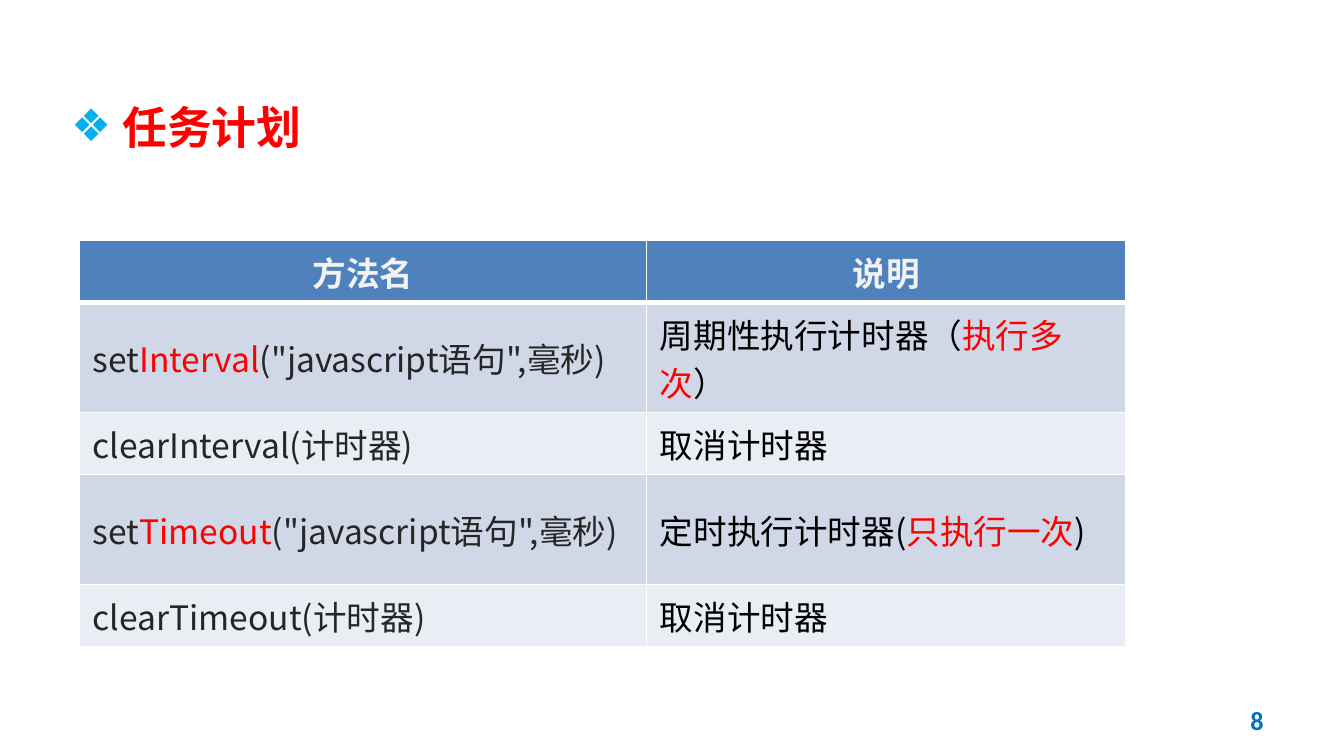
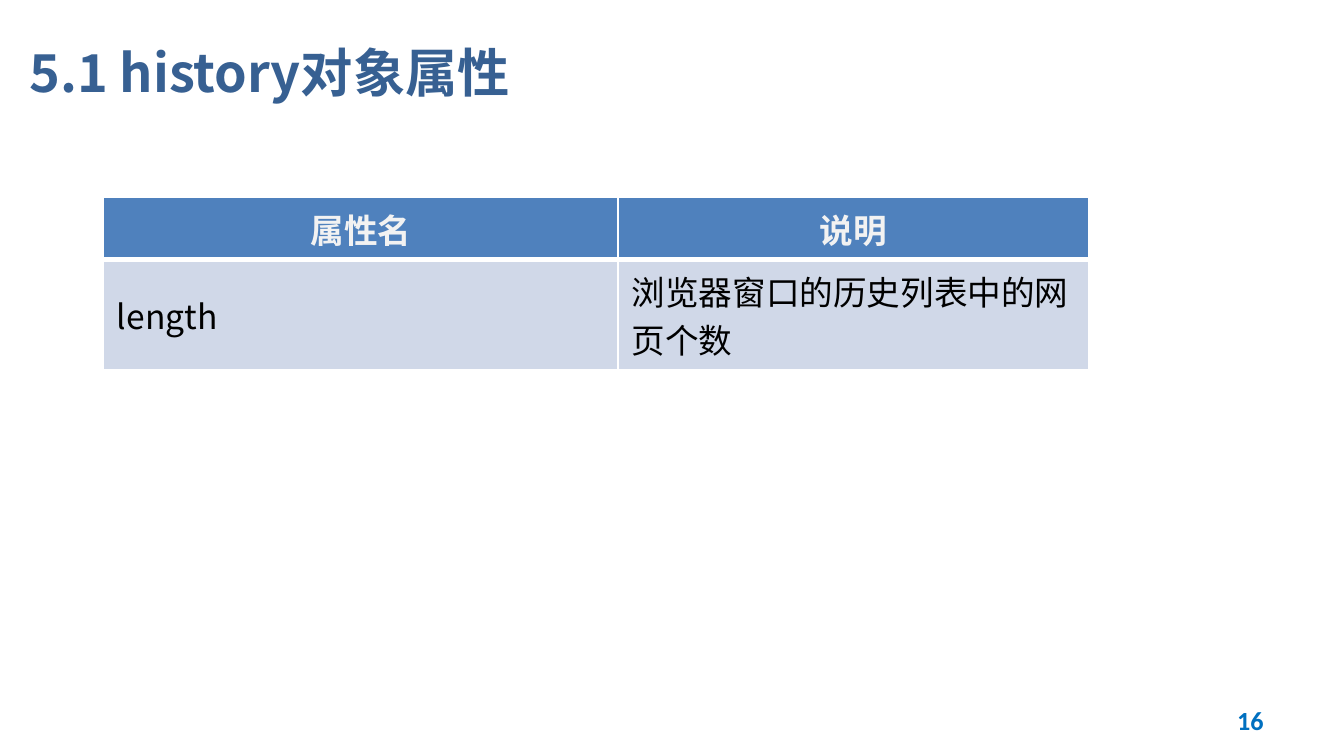
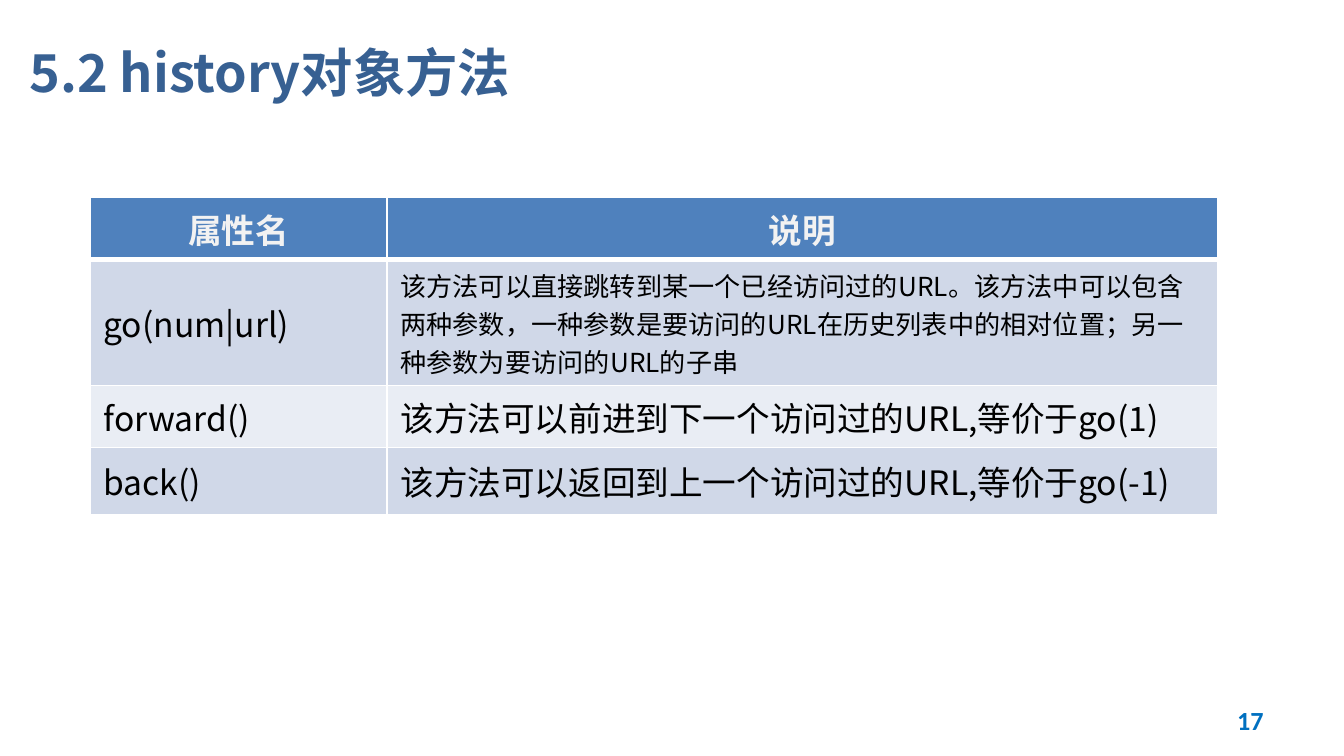
from pptx import Presentation
from pptx.dml.color import RGBColor
from pptx.enum.text import MSO_ANCHOR, MSO_AUTO_SIZE, PP_ALIGN
from pptx.oxml import parse_xml
from pptx.oxml.ns import nsdecls
from pptx.util import Inches, Pt

# Shared style: a 16:9 slide on a grid that is 100 columns wide
UNIT = Inches(0.1)
SANS, NUM = "Noto Sans CJK SC", "Calibri"
RED, GRAY, BLACK, WHITE = "FF0000", "262626", "000000", "FFFFFF"
NAVY, BLUE, SKY, PALE = "376092", "0070C0", "00B0F0", "F2F2F2"
HEAD, BANDS = "4F81BD", ("D0D8E8", "E9EDF4")
ONE, TWO, THREE = 4.6, 8.2, 9.4  # row heights by lines of text


def add_run(para, text, tint, size, bold=False, face=SANS):
    run = para.add_run()
    run.text = text
    font = run.font
    font.size, font.bold = Pt(size), bold
    font.color.rgb = RGBColor.from_string(tint)
    font.name = face
    run._r.get_or_add_rPr().append(
        parse_xml(f'<a:ea {nsdecls("a")} typeface="{face}"/>'))


def place(shape, left, top, width, height):
    shape.left, shape.top = int(left * UNIT), int(top * UNIT)
    shape.width, shape.height = int(width * UNIT), int(height * UNIT)


# Content: each cell is a list of (text, colour, size) runs
timers = [
    [[("set", GRAY, 18), ("Interval", RED, 18),
      ('("javascript语句",毫秒)', GRAY, 18)],
     [("周期性执行计时器（", BLACK, 18), ("执行多次", RED, 18), ("）", BLACK, 18)]],
    [[("clearInterval(计时器)", GRAY, 18)], [("取消计时器", BLACK, 18)]],
    [[("set", GRAY, 18), ("Timeout", RED, 18),
      ('("javascript语句",毫秒)', GRAY, 18)],
     [("定时执行计时器(", BLACK, 18), ("只执行一次", RED, 18), (")", BLACK, 18)]],
    [[("clearTimeout(计时器)", GRAY, 18)], [("取消计时器", BLACK, 18)]],
]
props = [
    [[("length", BLACK, 18)], [("浏览器窗口的历史列表中的网页个数", BLACK, 18)]],
]
calls = [
    [[("go(num|url)", BLACK, 18)],
     [("该方法可以直接跳转到某一个已经访问过的URL。该方法中可以包含两种参数，"
       "一种参数是要访问的URL在历史列表中的相对位置；"
       "另一种参数为要访问的URL的子串", BLACK, 14)]],
    [[("forward()", BLACK, 18)],
     [("该方法可以前进到下一个访问过的URL,等价于go(1)", BLACK, 18)]],
    [[("back()", BLACK, 18)],
     [("该方法可以返回到上一个访问过的URL,等价于go(-1)", BLACK, 18)]],
]

# Page number, title, table corner, column widths, row heights, heads, rows
pages = [
    ("8", None, (5.9, 17.9), (42.2, 35.7), (ONE, TWO, ONE, TWO, ONE),
     ("方法名", "说明"), timers),
    ("16", "5.1 history对象属性", (7.7, 14.7), (38.3, 35), (ONE, TWO),
     ("属性名", "说明"), props),
    ("17", "5.2 history对象方法", (6.7, 14.7), (22.1, 61.8),
     (ONE, THREE, ONE, 5), ("属性名", "说明"), calls),
]

deck = Presentation()
deck.slide_width = 100 * UNIT
deck.slide_height = deck.slide_width * 9 // 16

for number, title, corner, widths, heights, heads, rows in pages:
    slide = deck.slides.add_slide(deck.slide_layouts[5 if title else 1])

    # Title, or a bulleted topic where there is none
    if title:
        box = slide.shapes.title
        place(box, 1.2, 0.6, 90, 9.4)
        para = box.text_frame.paragraphs[0]
        add_run(para, title, NAVY, 28, True)
        box.text_frame.vertical_anchor = MSO_ANCHOR.MIDDLE
    else:
        empty = slide.shapes.title._element
        empty.getparent().remove(empty)
        box = slide.placeholders[1]
        place(box, 4.3, 6.9, 74.8, 7.9)
        para = box.text_frame.paragraphs[0]
        para.space_before = Pt(0)
        ppr = para._p.get_or_add_pPr()
        ppr.set("marL", str(int(3.8 * UNIT)))
        ppr.set("indent", str(int(-3.8 * UNIT)))
        for tag in (f'<a:buClr {nsdecls("a")}><a:srgbClr val="{SKY}"/></a:buClr>',
                    f'<a:buChar {nsdecls("a")} char="❖"/>'):
            ppr.append(parse_xml(tag))
        add_run(para, "任务计划", RED, 24, True)
    para.alignment = PP_ALIGN.LEFT
    box.text_frame.auto_size = MSO_AUTO_SIZE.NONE

    # Page number
    foot = slide.shapes.add_textbox(0, 0, UNIT, UNIT)
    place(foot, 71.7, 52.1, 23.3, 3)
    foot.text_frame.word_wrap = True
    foot.text_frame.vertical_anchor = MSO_ANCHOR.MIDDLE
    para = foot.text_frame.paragraphs[0]
    para.alignment = PP_ALIGN.RIGHT
    add_run(para, number, BLUE, 14, True, NUM)

    # Table with a heavy rule under its head
    frame = slide.shapes.add_table(len(heights), 2, 0, 0, UNIT, UNIT)
    place(frame, *corner, sum(widths), sum(heights))
    table = frame.table
    for col, width in zip(table.columns, widths):
        col.width = int(width * UNIT)
    for row, height in zip(table.rows, heights):
        row.height = int(height * UNIT)
    grid = [[[(head, PALE, 18)] for head in heads]] + rows
    for r, line in enumerate(grid):
        for c, runs in enumerate(line):
            cell = table.cell(r, c)
            cell.vertical_anchor = MSO_ANCHOR.MIDDLE
            para = cell.text_frame.paragraphs[0]
            para.alignment = PP_ALIGN.LEFT if r else PP_ALIGN.CENTER
            for text, tint, size in runs:
                add_run(para, text, tint, size, r == 0)
            for side in "LRTB":
                heavy = (r, side) in ((0, "B"), (1, "T"))
                cell._tc.get_or_add_tcPr().append(parse_xml(
                    f'<a:ln{side} {nsdecls("a")} w="{Pt(3 if heavy else 1)}">'
                    f'<a:solidFill><a:srgbClr val="{WHITE}"/></a:solidFill>'
                    f'</a:ln{side}>'))
            cell.fill.solid()
            fill = BANDS[(r - 1) % 2] if r else HEAD
            cell.fill.fore_color.rgb = RGBColor.from_string(fill)

deck.save("out.pptx")
